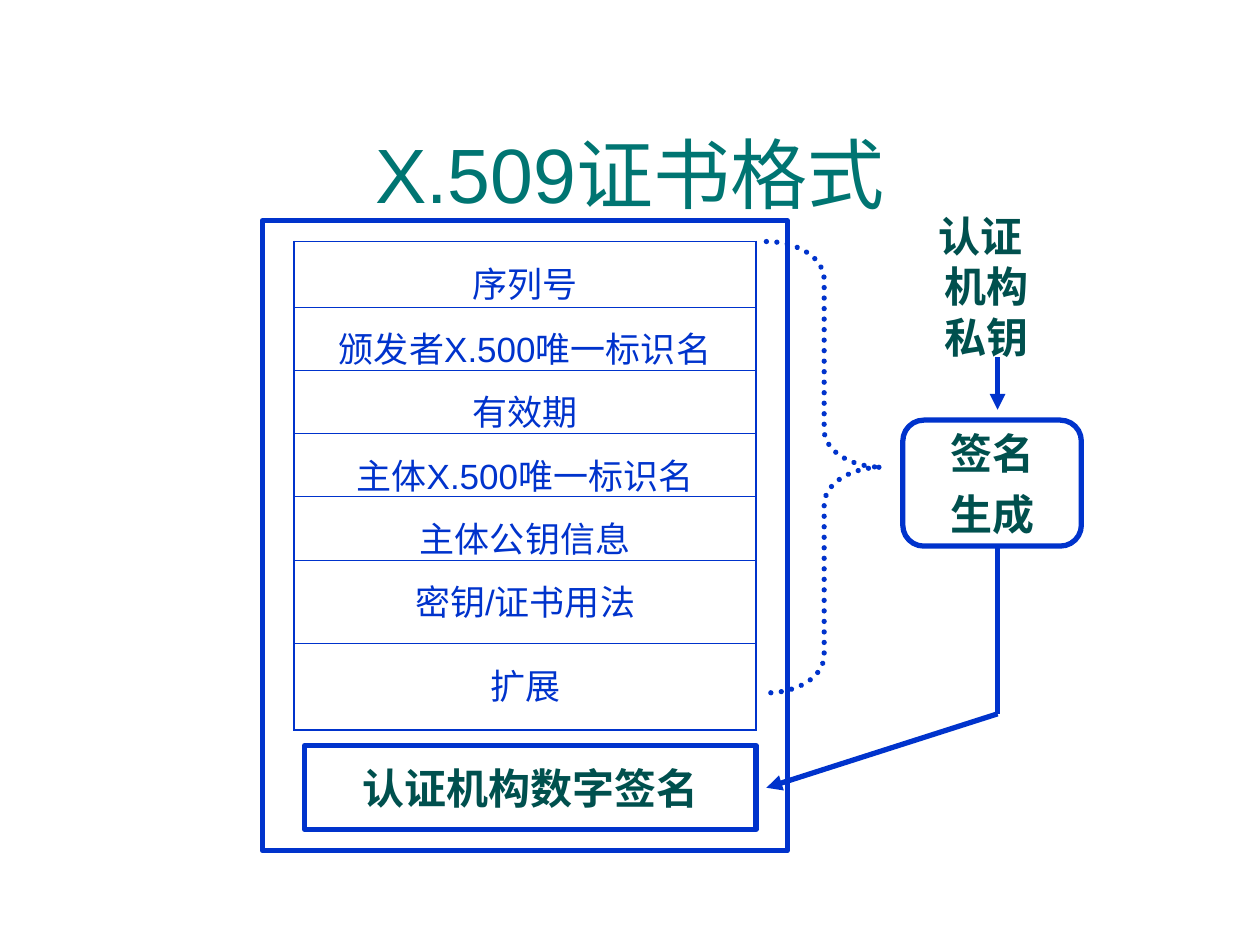
import dataclasses

import lxml.etree
import pptx
import pptx.dml.color
import pptx.enum.dml
import pptx.enum.lang
import pptx.enum.shapes
import pptx.enum.text
import pptx.oxml.ns
import pptx.util

Cm = pptx.util.Cm
Pt = pptx.util.Pt
SHAPE = pptx.enum.shapes.MSO_SHAPE
ALIGN = pptx.enum.text.PP_ALIGN
ANCHOR = pptx.enum.text.MSO_ANCHOR
qn = pptx.oxml.ns.qn


@dataclasses.dataclass(frozen=True)
class Theme:
    """Colours, type sizes and line widths of the slide."""
    font: str = "Arial"
    title: str = "007572"
    blue: str = "0033CC"
    dark: str = "00504E"
    title_size: int = 44
    label_size: int = 24
    field_size: int = 20
    stroke: float = 3
    edge: float = 1.08
    rule: float = 0.45


THEME = Theme()
FIELDS = [
    ("序列号", 1.32),
    ("颁发者X.500唯一标识名", 1.12),
    ("有效期", 1.12),
    ("主体X.500唯一标识名", 1.12),
    ("主体公钥信息", 1.12),
    ("密钥/证书用法", 1.68),
    ("扩展", 1.75),
]


def rgb(colour):
    """Turn a hex string into a colour."""
    return pptx.dml.color.RGBColor.from_string(colour)


def write(frame, lines, size, colour, bold=False, align=ALIGN.CENTER, gap=0):
    """Write one paragraph per line into a text frame."""
    for number, line in enumerate(lines):
        paragraph = frame.add_paragraph() if number else frame.paragraphs[0]
        paragraph.alignment = align
        if number:
            paragraph.space_before = Pt(gap)
        run = paragraph.add_run()
        run.text = line
        run.font.name = THEME.font
        run.font.size = Pt(size)
        run.font.bold = bold
        run.font.color.rgb = rgb(colour)
        run.font.language_id = pptx.enum.lang.MSO_LANGUAGE_ID.SIMPLIFIED_CHINESE


def set_margins(frame, side, end):
    """Set the side and the top and bottom margins of a text frame in cm."""
    frame.margin_left = frame.margin_right = Cm(side)
    frame.margin_top = frame.margin_bottom = Cm(end)


def add_outline(slide, kind, left, top, width, height):
    """Add an unfilled shape with a heavy blue outline."""
    outline = slide.shapes.add_shape(kind, Cm(left), Cm(top), Cm(width), Cm(height))
    outline.shadow.inherit = False
    outline.fill.background()
    outline.line.color.rgb = rgb(THEME.blue)
    outline.line.width = Pt(THEME.stroke)
    return outline


def label_outline(outline, lines):
    """Write centred bold lines inside an outline."""
    frame = outline.text_frame
    frame.word_wrap = False
    frame.vertical_anchor = ANCHOR.MIDDLE
    set_margins(frame, 0, 0)
    write(frame, lines, THEME.label_size, THEME.dark, bold=True, gap=6)


def add_title(slide, text):
    """Add the slide heading."""
    heading = slide.shapes.add_textbox(Cm(0.84), Cm(1.9), Cm(23.72), Cm(3.18))
    heading.text_frame.word_wrap = True
    heading.text_frame.vertical_anchor = ANCHOR.MIDDLE
    write(heading.text_frame, [text], THEME.title_size, THEME.title)


def add_key_label(slide, text):
    """Add the private key label, which wraps after every two characters."""
    label = slide.shapes.add_textbox(Cm(18.42), Cm(4.24), Cm(2.34), Cm(5.08))
    frame = label.text_frame
    frame.word_wrap = True
    set_margins(frame, 0, 0)
    properties = frame.paragraphs[0]._p.get_or_add_pPr()
    properties.set("marL", str(Cm(0.63)))
    properties.set("indent", str(Cm(-0.13)))
    write(frame, [text], THEME.label_size, THEME.dark, bold=True, align=ALIGN.LEFT)


def set_borders(cell, widths):
    """Draw the cell borders, given their widths by side."""
    properties = cell._tc.get_or_add_tcPr()
    for side, width in widths.items():
        border = lxml.etree.SubElement(properties, qn(f"a:ln{side}"), w=str(Pt(width)))
        fill = lxml.etree.SubElement(border, qn("a:solidFill"))
        lxml.etree.SubElement(fill, qn("a:srgbClr"), val=THEME.blue)


def add_field_table(slide, fields):
    """Add the certificate fields, one row each."""
    total = sum(height for _, height in fields)
    table = slide.shapes.add_table(
        len(fields), 1, Cm(5.93), Cm(4.87), Cm(9.31), Cm(total)).table
    table.first_row = table.horz_banding = False
    last = len(fields) - 1
    for number, (field, height) in enumerate(fields):
        table.rows[number].height = Cm(height)
        cell = table.cell(number, 0)
        cell.margin_top = Cm(0.3)
        set_borders(cell, {
            "L": THEME.edge,
            "R": THEME.edge,
            "T": THEME.rule if number else THEME.edge,
            "B": THEME.rule if number < last else THEME.edge,
        })
        cell.fill.background()
        write(cell.text_frame, [field], THEME.field_size, THEME.blue)


def add_brace(slide):
    """Add the dotted brace that gathers the signed fields."""
    brace = add_outline(slide, SHAPE.RIGHT_BRACE, 15.45, 4.87, 2.33, 9.1)
    brace.adjustments[0] = 0.325
    brace.line.dash_style = pptx.enum.dml.MSO_LINE.ROUND_DOT
    brace.line._get_or_add_ln().set("cap", "rnd")


def add_flow(slide, start, end, arrow=True):
    """Add a straight flow line, with an arrowhead at its end if wanted."""
    flow = slide.shapes.add_connector(
        pptx.enum.shapes.MSO_CONNECTOR.STRAIGHT, *map(Cm, start + end))
    flow.line.color.rgb = rgb(THEME.blue)
    flow.line.width = Pt(THEME.stroke)
    if arrow:
        lxml.etree.SubElement(
            flow.line._get_or_add_ln(), qn("a:tailEnd"), type="triangle")
    lxml.etree.SubElement(flow._element.spPr, qn("a:effectLst"))


def main():
    """Build and save the slide."""
    deck = pptx.Presentation()
    deck.slide_width, deck.slide_height = Cm(25.4), Cm(19.05)
    slide = deck.slides.add_slide(deck.slide_layouts[6])

    add_title(slide, "X.509证书格式")
    add_outline(slide, SHAPE.RECTANGLE, 5.29, 4.45, 10.58, 12.7)
    add_field_table(slide, FIELDS)
    signature = add_outline(slide, SHAPE.RECTANGLE, 6.14, 15.03, 9.1, 1.69)
    label_outline(signature, ["认证机构数字签名"])
    add_brace(slide)
    signing = add_outline(slide, SHAPE.ROUNDED_RECTANGLE, 18.2, 8.47, 3.6, 2.54)
    label_outline(signing, ["签名", "生成"])
    add_key_label(slide, "认证机构私钥")

    bend = (20.11, 14.39)
    add_flow(slide, (20.11, 7.2), (20.11, 8.26))
    add_flow(slide, (20.11, 11.01), bend, arrow=False)
    add_flow(slide, bend, (15.45, 15.88))

    deck.save("out.pptx")


if __name__ == "__main__":
    main()
